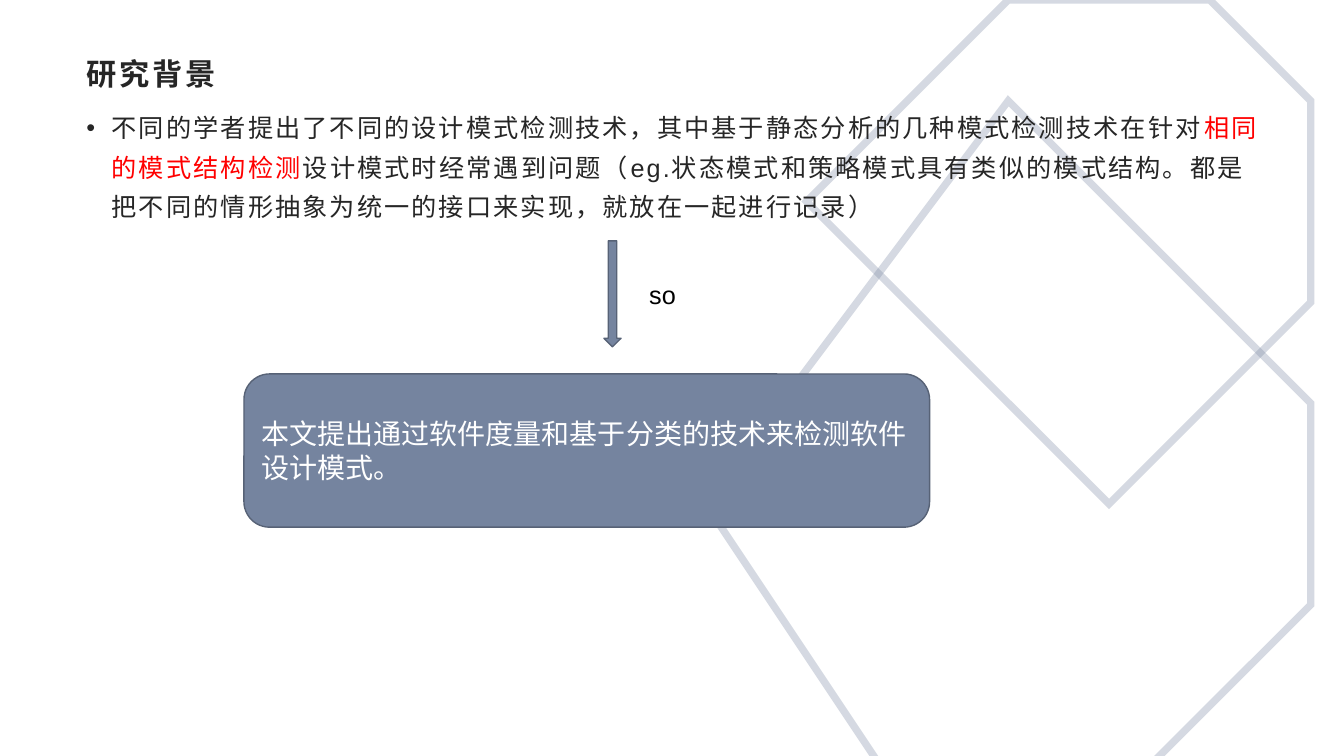
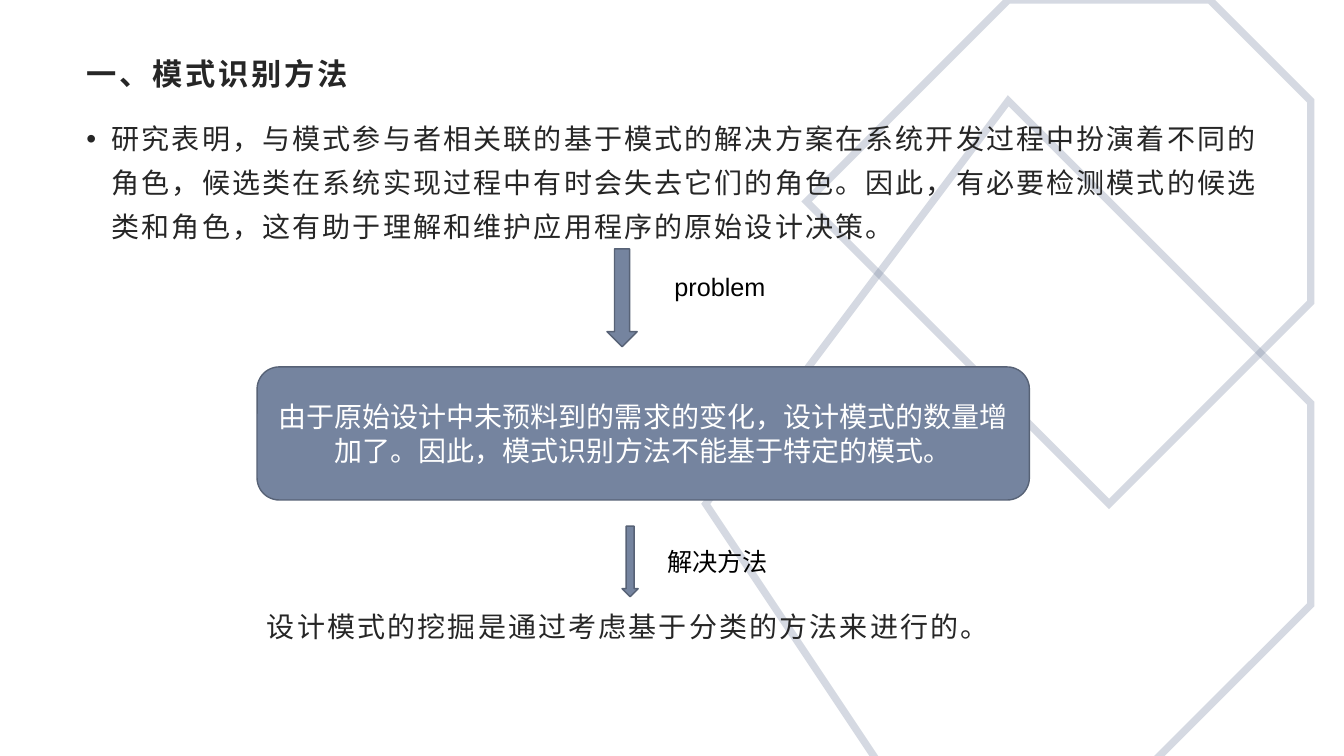
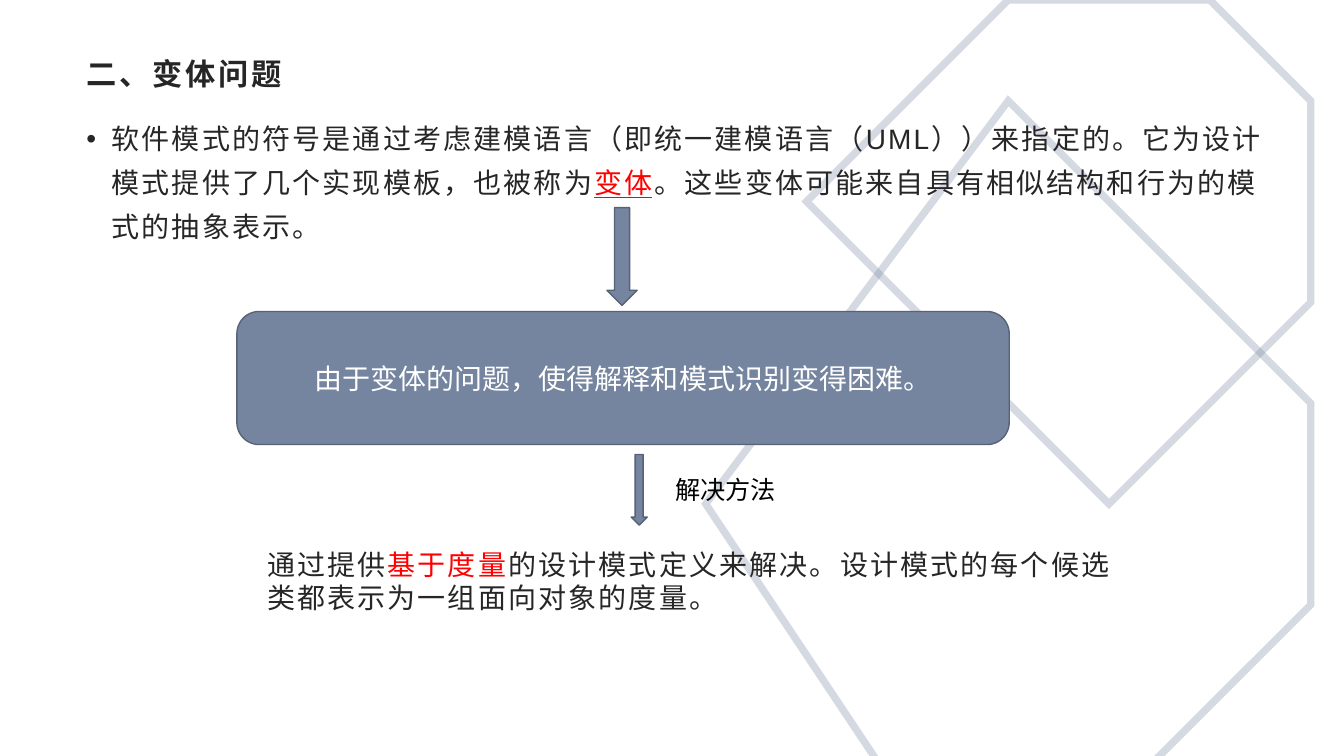
from dataclasses import dataclass

from lxml import etree
from pptx import Presentation
from pptx.dml.color import RGBColor
from pptx.enum.lang import MSO_LANGUAGE_ID as Language
from pptx.enum.shapes import MSO_SHAPE as Shape
from pptx.enum.text import MSO_ANCHOR as Anchor, PP_ALIGN as Align
from pptx.oxml.ns import qn
from pptx.util import Inches, Pt


@dataclass(frozen=True)
class Theme:
    font: str = "Arial"
    steel: str = "75849F"
    outline: str = "576276"
    ink: str = "262626"
    black: str = "000000"
    white: str = "FFFFFF"
    red: str = "FF0000"
    title_size: float = 21.6
    text_size: float = 20
    small_size: float = 18
    title_spacing: float = 2
    text_spacing: float = 1.5
    outline_width: float = 1
    backdrop_width: float = 5.25
    backdrop_opacity: int = 30


THEME = Theme()

# Shared layout, in inches
TITLE_AREA = (0.76, 0.5, 11.87, 0.48)
BODY_LEFT, BODY_WIDTH, BODY_HEIGHT = 0.76, 11.87, 5.89
BULLET_INDENT = 0.25
BACKDROP = [
    [(11.99, 0.01), (9.73, 0.01), (7.67, 2.06), (10.86, 5.24), (13.3, 2.8), (13.3, 1.31)],
    [(6.53, 5.02), (8.99, 7.51), (11.18, 7.52), (12.54, 6.17), (12.55, 3.94), (10.12, 1.48)],
]

# Content: a run is (text, style); styles are "", "red" or "red underline"
SLIDES = [
    {
        "title": "研究背景",
        "body_top": 0.98,
        "body_size": THEME.small_size,
        "body": [
            ("不同的学者提出了不同的设计模式检测技术，其中基于静态分析的几种模式检测技术在针对", ""),
            ("相同的模式结构检测", "red"),
            ("设计模式时经常遇到问题（eg.状态模式和策略模式具有类似的模式结构。"
             "都是把不同的情形抽象为统一的接口来实现，就放在一起进行记录）", ""),
        ],
        "arrows": [(5.99, 2.39, 0.17, 1.05)],
        "labels": [("so", (6.34, 2.72, 0.65, 0.4))],
        "box": ("本文提出通过软件度量和基于分类的技术来检测软件设计模式。",
                (2.42, 3.71, 6.8, 1.52), Align.LEFT),
    },
    {
        "title": "一、模式识别方法",
        "body_top": 1.06,
        "body_size": THEME.text_size,
        "body": [
            ("研究表明，与模式参与者相关联的基于模式的解决方案在系统开发过程中扮演着不同的角色，"
             "候选类在系统实现过程中有时会失去它们的角色。因此，有必要检测模式的候选类和角色，"
             "这有助于理解和维护应用程序的原始设计决策。", ""),
        ],
        "arrows": [(6.02, 2.47, 0.3, 0.97), (6.17, 5.22, 0.16, 0.7)],
        "labels": [("problem", (6.59, 2.64, 1.32, 0.4)),
                   ("解决方法", (6.52, 5.37, 1.45, 0.4))],
        "box": ("由于原始设计中未预料到的需求的变化，设计模式的数量增加了。"
                "因此，模式识别方法不能基于特定的模式。",
                (2.55, 3.64, 7.66, 1.32), Align.CENTER),
        "answer": ([("设计模式的挖掘是通过考虑基于分类的方法来进行的。", "")],
                   (2.55, 6, 8.23, 0.44)),
    },
    {
        "title": "二、变体问题",
        "body_top": 1.06,
        "body_size": THEME.text_size,
        "body": [
            ("软件模式的符号是通过考虑建模语言（即统一建模语言（UML））来指定的。"
             "它为设计模式提供了几个实现模板，也被称为", ""),
            ("变体", "red underline"),
            ("。这些变体可能来自具有相似结构和行为的模式的抽象表示。", ""),
        ],
        "arrows": [(6.02, 2.06, 0.3, 0.97), (6.26, 4.51, 0.16, 0.7)],
        "labels": [("解决方法", (6.6, 4.66, 1.45, 0.4))],
        "box": ("由于变体的问题，使得解释和模式识别变得困难。",
                (2.35, 3.09, 7.66, 1.32), Align.CENTER),
        "answer": ([("通过提供", ""), ("基于度量", "red"),
                    ("的设计模式定义来解决。设计模式的每个候选类都表示为一组面向对象的度量。", "")],
                   (2.55, 5.38, 8.75, 0.77)),
    },
]


def inches(area):
    return [Inches(length) for length in area]


def color(value):
    return RGBColor.from_string(value)


# Text
def add_runs(paragraph, runs, size, ink, spacing=0, bold=False):
    for text, style in runs:
        run = paragraph.add_run()
        run.text = text
        font = run.font
        font.name = THEME.font
        font.size = Pt(size)
        font.bold = bold
        font.language_id = Language.SIMPLIFIED_CHINESE
        font.color.rgb = color(THEME.red if "red" in style else ink)
        if "underline" in style:
            font.underline = True
        if spacing:
            font._element.set("spc", str(round(spacing * 100)))


def add_text(slide, area, runs, size, ink, spacing=0, bold=False):
    frame = slide.shapes.add_textbox(*inches(area)).text_frame
    frame.word_wrap = True
    paragraph = frame.paragraphs[0]
    add_runs(paragraph, runs, size, ink, spacing, bold)
    return paragraph


def add_bullet(paragraph):
    paragraph.line_spacing = 1.3
    paragraph.space_after = Pt(10)
    properties = paragraph._p.get_or_add_pPr()
    properties.set("marL", str(Inches(BULLET_INDENT)))
    properties.set("indent", str(-Inches(BULLET_INDENT)))
    etree.SubElement(properties, qn("a:buFont")).set("typeface", THEME.font)
    etree.SubElement(properties, qn("a:buChar")).set("char", "•")


# Shapes
def add_filled(slide, kind, area):
    shape = slide.shapes.add_shape(kind, *inches(area))
    shape.shadow.inherit = False
    shape.fill.solid()
    shape.fill.fore_color.rgb = color(THEME.steel)
    shape.line.color.rgb = color(THEME.outline)
    shape.line.width = Pt(THEME.outline_width)
    return shape


def add_box(slide, text, area, align):
    frame = add_filled(slide, Shape.ROUNDED_RECTANGLE, area).text_frame
    frame.word_wrap = True
    frame.vertical_anchor = Anchor.MIDDLE
    paragraph = frame.paragraphs[0]
    paragraph.alignment = align
    add_runs(paragraph, [(text, "")], THEME.text_size, THEME.white)


def add_backdrop(slide):
    for start, *corners in BACKDROP:
        builder = slide.shapes.build_freeform(*start, scale=Inches(1))
        builder.add_line_segments(corners, close=True)
        shape = builder.convert_to_shape()
        shape.shadow.inherit = False
        shape.fill.background()
        shape.line.color.rgb = color(THEME.steel)
        shape.line.width = Pt(THEME.backdrop_width)
        line = shape.line._get_or_add_ln()
        alpha = etree.SubElement(line.find(".//" + qn("a:srgbClr")), qn("a:alpha"))
        alpha.set("val", str(THEME.backdrop_opacity * 1000))
        etree.SubElement(line, qn("a:miter")).set("lim", "800000")


def build_slide(presentation, content):
    slide = presentation.slides.add_slide(presentation.slide_layouts[6])
    add_backdrop(slide)
    add_text(slide, TITLE_AREA, [(content["title"], "")], THEME.title_size,
             THEME.ink, THEME.title_spacing, bold=True)
    body_area = (BODY_LEFT, content["body_top"], BODY_WIDTH, BODY_HEIGHT)
    add_bullet(add_text(slide, body_area, content["body"], content["body_size"],
                        THEME.ink, THEME.text_spacing))
    for area in content["arrows"]:
        add_filled(slide, Shape.DOWN_ARROW, area)
    add_box(slide, *content["box"])
    for text, area in content["labels"]:
        add_text(slide, area, [(text, "")], THEME.small_size, THEME.black)
    if "answer" in content:
        runs, area = content["answer"]
        add_text(slide, area, runs, THEME.text_size, THEME.ink, THEME.text_spacing)


def main():
    presentation = Presentation()
    presentation.slide_width = Inches(13.33)
    presentation.slide_height = Inches(7.5)
    for content in SLIDES:
        build_slide(presentation, content)
    presentation.save("out.pptx")


if __name__ == "__main__":
    main()
